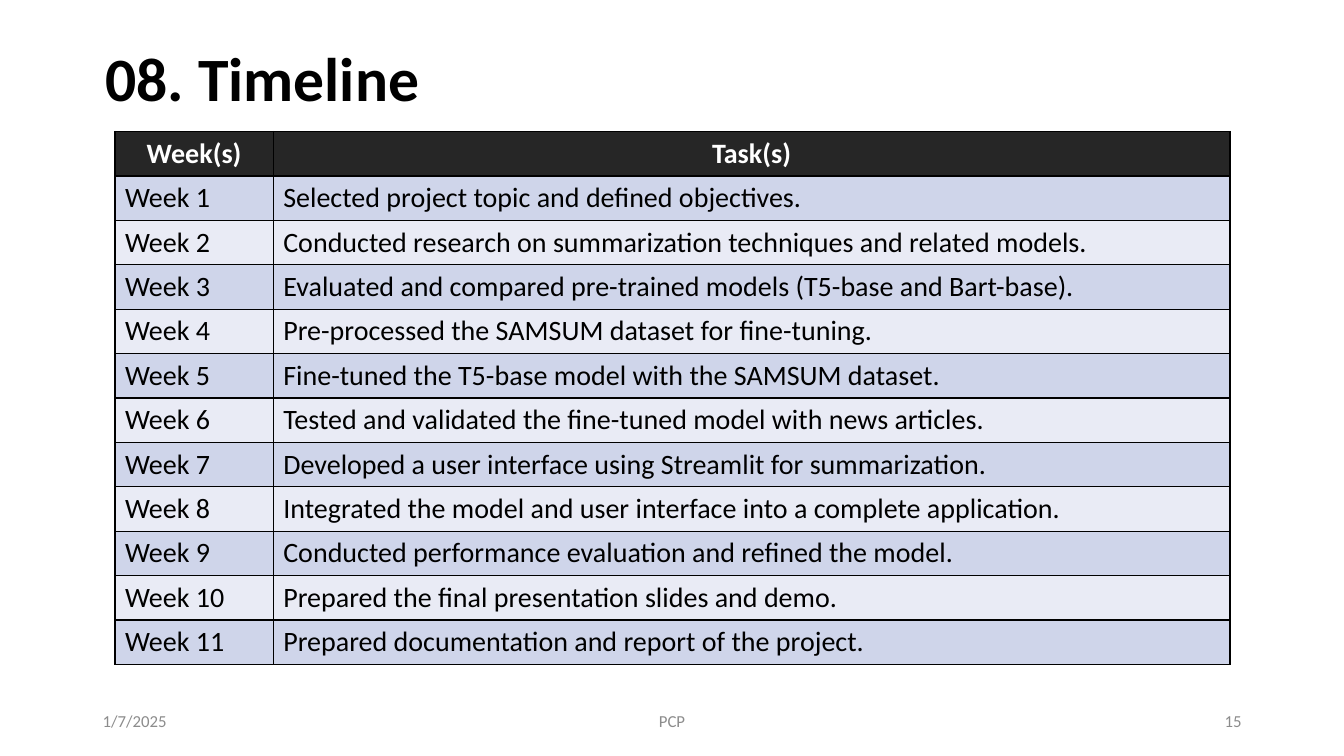
import pptx
import pptx.util
import pptx.dml.color
import pptx.enum.text
import pptx.oxml

ALIGN = pptx.enum.text.PP_ALIGN
ANCHOR = pptx.enum.text.MSO_ANCHOR
RGB = pptx.dml.color.RGBColor.from_string
WIDE = pptx.util.Inches(13.33)
HIGH = pptx.util.Inches(7.5)

THEME = {
    "title": {"name": "Calibri", "size": 44, "bold": True, "color": "000000"},
    "head": {"name": "Calibri", "size": 20, "bold": True, "color": "FFFFFF"},
    "body": {"name": "Calibri", "size": 20, "bold": False, "color": "000000"},
    "foot": {"name": "Calibri", "size": 12, "bold": False, "color": "8C8C8C"},
    "dark": "262626",
    "bands": ("CFD5EA", "E9EBF5"),
    "rule": "000000",
}

TASKS = (
    "Selected project topic and defined objectives.",
    "Conducted research on summarization techniques and related models.",
    "Evaluated and compared pre-trained models (T5-base and Bart-base).",
    "Pre-processed the SAMSUM dataset for fine-tuning.",
    "Fine-tuned the T5-base model with the SAMSUM dataset.",
    "Tested and validated the fine-tuned model with news articles.",
    "Developed a user interface using Streamlit for summarization.",
    "Integrated the model and user interface into a complete application.",
    "Conducted performance evaluation and refined the model.",
    "Prepared the final presentation slides and demo.",
    "Prepared documentation and report of the project.",
)


def across(share):
    """Turn a percentage of the slide's width into a length."""
    return round(WIDE * share / 100)


def down(share):
    """Turn a percentage of the slide's height into a length."""
    return round(HIGH * share / 100)


def write(frame, text, style, align):
    """Put one styled paragraph into a text frame."""
    frame.text = text
    line = frame.paragraphs[0]
    line.alignment = align
    look = dict(THEME[style])
    line.runs[0].font.color.rgb = RGB(look.pop("color"))
    look["size"] = pptx.util.Pt(look["size"])
    for key, value in look.items():
        setattr(line.runs[0].font, key, value)


def add_title(slide, text):
    """Move and fill the title placeholder."""
    title = slide.shapes.title
    place = {"left": across(3), "top": down(0.67),
             "width": across(33.08), "height": down(15.2)}
    for key, value in place.items():
        setattr(title, key, value)
    frame = title.text_frame
    write(frame, text, "title", ALIGN.CENTER)
    frame.paragraphs[0].line_spacing = 0.9
    form = {"vertical_anchor": ANCHOR.BOTTOM, "word_wrap": True,
            "auto_size": pptx.enum.text.MSO_AUTO_SIZE.NONE}
    for key, value in form.items():
        setattr(frame, key, value)


def add_foot(slide, text, left, width, align):
    """Add one text box in the footer row."""
    box = slide.shapes.add_textbox(across(left), down(92.67),
                                   across(width), down(5.33))
    frame = box.text_frame
    frame.word_wrap = True
    frame.vertical_anchor = ANCHOR.MIDDLE
    write(frame, text, "foot", align)


def add_rules(cell):
    """Draw a thin rule on each side of a cell."""
    for side in "LRTB":
        cell._tc.get_or_add_tcPr().append(pptx.oxml.parse_xml(
            f'<a:ln{side} xmlns:a="http://schemas.openxmlformats.org/drawingml/2006/main"'
            f' w="12700"><a:solidFill><a:srgbClr val="{THEME["rule"]}"/>'
            f'</a:solidFill></a:ln{side}>'))


def add_plan(slide, rows):
    """Add the table of weeks and tasks with banded rows."""
    spans = (11.78, 71.19)
    pitch = 5.87
    plan = slide.shapes.add_table(
        len(rows), len(spans), across(8.55), down(17.4),
        across(sum(spans)), down(pitch * len(rows))).table
    plan.horz_banding = False
    for column, span in zip(plan.columns, spans):
        column.width = across(span)
    for index, texts in enumerate(rows):
        plan.rows[index].height = down(pitch)
        if index == 0:
            style, align, fill = "head", ALIGN.CENTER, THEME["dark"]
        else:
            style, align = "body", ALIGN.LEFT
            fill = THEME["bands"][(index - 1) % 2]
        for cell, text in zip(plan.rows[index].cells, texts):
            add_rules(cell)
            cell.fill.solid()
            cell.fill.fore_color.rgb = RGB(fill)
            write(cell.text_frame, text, style, align)


def main():
    """Build the timeline slide and save it."""
    deck = pptx.Presentation()
    deck.slide_width, deck.slide_height = WIDE, HIGH
    slide = deck.slides.add_slide(deck.slide_layouts[5])
    add_title(slide, "08. Timeline")
    weeks = [(f"Week {week}", task) for week, task in enumerate(TASKS, 1)]
    add_plan(slide, [("Week(s)", "Task(s)")] + weeks)
    add_foot(slide, "1/7/2025", 6.9, 22.5, ALIGN.LEFT)
    add_foot(slide, "PCP", 33.13, 33.75, ALIGN.CENTER)
    add_foot(slide, "15", 70.63, 22.5, ALIGN.RIGHT)
    deck.save("out.pptx")


if __name__ == "__main__":
    main()
